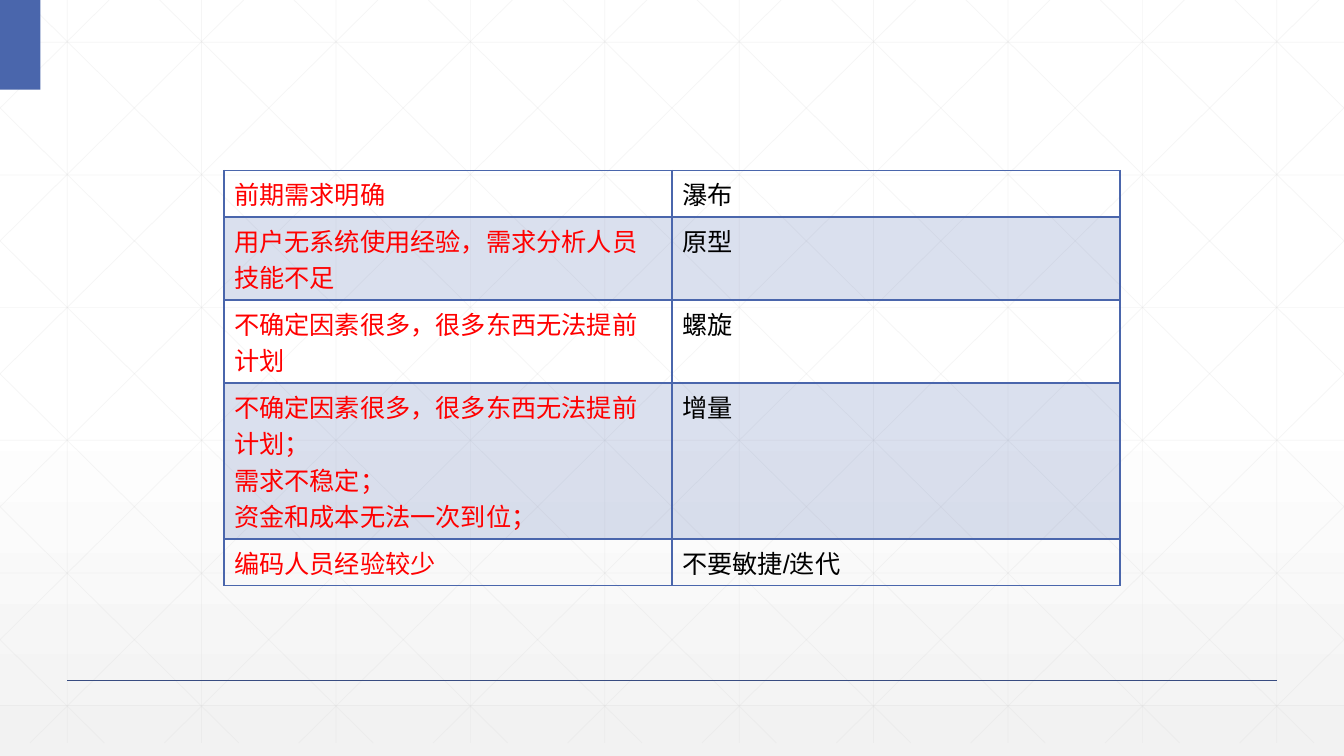
"""Build a slide that matches project conditions to software process models."""
import pptx
import pptx.dml.color
import pptx.enum.shapes
import pptx.oxml
import pptx.oxml.ns
import pptx.util

COLORS = {"accent": "4A66AC", "rule": "384C81", "grid": "D9D9D9", "condition": "FF0000",
          "model": "000000", "top": "FFFFFF", "bottom": "F2F2F2"}
NS = pptx.oxml.ns.nsdecls("a")
WIDTH, HEIGHT = 13.33, 7.5
PITCH_X, PITCH_Y = WIDTH / 10, 1.316
GRID_BOTTOM, DIAGONAL_RUN = 7.37, 7.45
SLOPE = GRID_BOTTOM / DIAGONAL_RUN


def write_text(frame, text, *, size, font, color):
    """Fill a text frame, one paragraph per line of text."""
    frame.text = text
    for paragraph in frame.paragraphs:
        for run in paragraph.runs:
            run.font.size = pptx.util.Pt(size)
            run.font.name = font
            run.font.color.rgb = pptx.dml.color.RGBColor.from_string(COLORS[color])
            run.font._element.append(pptx.oxml.parse_xml(f'<a:ea {NS} typeface="Noto Sans CJK SC"/>'))


def draw_line(shapes, start, end, *, color, weight, opacity=100):
    """Draw a straight line between two points given in inches."""
    points = [pptx.util.Inches(value) for value in (*start, *end)]
    line = shapes.add_connector(pptx.enum.shapes.MSO_CONNECTOR.STRAIGHT, *points)
    line.line.width = pptx.util.Pt(weight)
    line.line.color.rgb = pptx.dml.color.RGBColor.from_string(COLORS[color])
    if opacity < 100:
        rgb = line._element.spPr.find(".//" + pptx.oxml.ns.qn("a:srgbClr"))
        rgb.append(pptx.oxml.parse_xml(f'<a:alpha {NS} val="{opacity * 1000}"/>'))
    line._element.spPr.append(pptx.oxml.parse_xml(f"<a:effectLst {NS}/>"))


deck = pptx.Presentation()
deck.slide_width = pptx.util.Inches(WIDTH)
deck.slide_height = pptx.util.Inches(HEIGHT)
slide = deck.slides.add_slide(deck.slide_layouts[6])

backdrop = slide.background.fill
backdrop.gradient()
backdrop.gradient_angle = 270
stops = backdrop.gradient_stops
for stop, color, position in zip(stops, ("top", "bottom"), (0.53, 1)):
    stop.color.rgb = pptx.dml.color.RGBColor.from_string(COLORS[color])
    stop.position = position

grid_lines = [((PITCH_X * (col + 0.5), 0), (PITCH_X * (col + 0.5), GRID_BOTTOM)) for col in range(10)]
grid_lines += [((0, 0.42 + PITCH_Y * row), (WIDTH, 0.42 + PITCH_Y * row)) for row in range(6)]
for step in range(-5, 10):
    origin = 0.25 + PITCH_X * step
    left, right = max(origin, 0), min(origin + DIAGONAL_RUN, WIDTH)
    top, bottom = (left - origin) * SLOPE, (right - origin) * SLOPE
    grid_lines += [((left, top), (right, bottom)), ((WIDTH - left, top), (WIDTH - right, bottom))]

pattern = slide.shapes.add_group_shape()
for start, end in grid_lines:
    draw_line(pattern.shapes, start, end, color="grid", weight=0.5, opacity=25)

draw_line(slide.shapes, (WIDTH * 0.05, HEIGHT * 0.9), (WIDTH * 0.95, HEIGHT * 0.9), color="rule", weight=1)
corner = slide.shapes.add_shape(pptx.enum.shapes.MSO_SHAPE.RECTANGLE, 0, 0,
                                pptx.util.Inches(0.4), pptx.util.Inches(0.89))
corner.shadow.inherit = False
corner.fill.solid()
corner.fill.fore_color.rgb = pptx.dml.color.RGBColor.from_string(COLORS["accent"])
corner.line.fill.background()

choices = [
    ("前期需求明确", "瀑布"),
    ("用户无系统使用经验，需求分析人员技能不足", "原型"),
    ("不确定因素很多，很多东西无法提前计划", "螺旋"),
    ("不确定因素很多，很多东西无法提前计划；\n需求不稳定；\n资金和成本无法一次到位；", "增量"),
    ("编码人员经验较少", "不要敏捷/迭代"),
]
table_frame = slide.shapes.add_table(
    len(choices), 2, pptx.util.Inches(WIDTH / 6), pptx.util.Inches(1.69),
    pptx.util.Inches(WIDTH * 2 / 3), pptx.util.Inches(3.51))
table = table_frame.table
table.first_row = False
table.horz_banding = False
columns = [("Noto Sans CJK SC", "condition"), ("Arial", "model")]
for row, choice in enumerate(choices):
    table.rows[row].height = pptx.util.Inches(0.41)
    for col, (font, color) in enumerate(columns):
        cell = table.cell(row, col)
        write_text(cell.text_frame, choice[col], size=18, font=font, color=color)
        properties = cell._tc.get_or_add_tcPr()
        for side in "LRTB":
            heavy = (row, side) in ((0, "B"), (1, "T"))
            properties.append(pptx.oxml.parse_xml(
                f'<a:ln{side} {NS} w="{pptx.util.Pt(2 if heavy else 1)}"><a:solidFill>'
                f'<a:srgbClr val="{COLORS["accent"]}"/></a:solidFill></a:ln{side}>'))
        if row % 2:
            cell.fill.solid()
            cell.fill.fore_color.rgb = pptx.dml.color.RGBColor.from_string(COLORS["accent"])
            tint = properties.find(pptx.oxml.ns.qn("a:solidFill"))[0]
            tint.append(pptx.oxml.parse_xml(f'<a:alpha {NS} val="20000"/>'))
        else:
            cell.fill.background()
table_frame.height = pptx.util.Inches(3.51)

deck.save("out.pptx")
